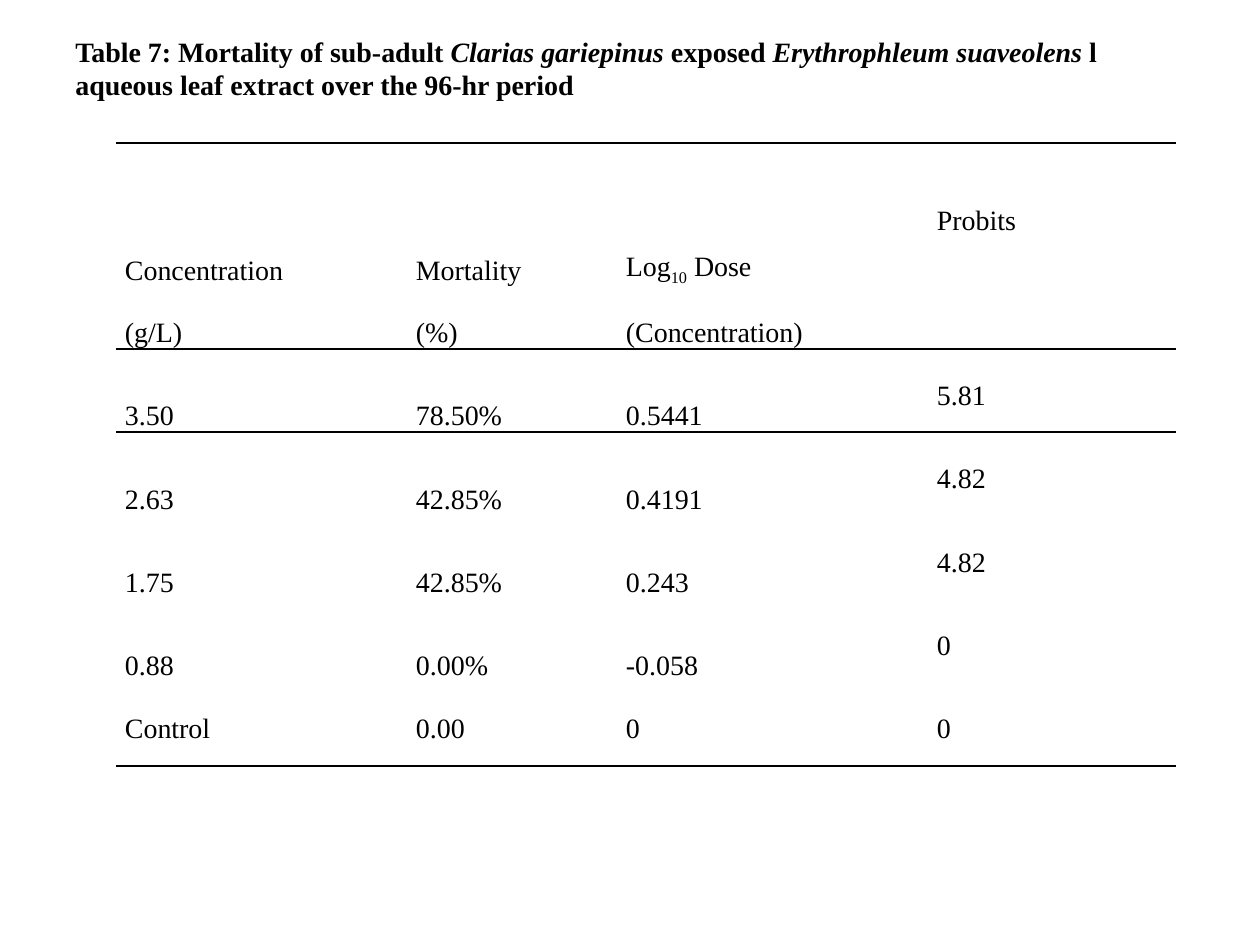
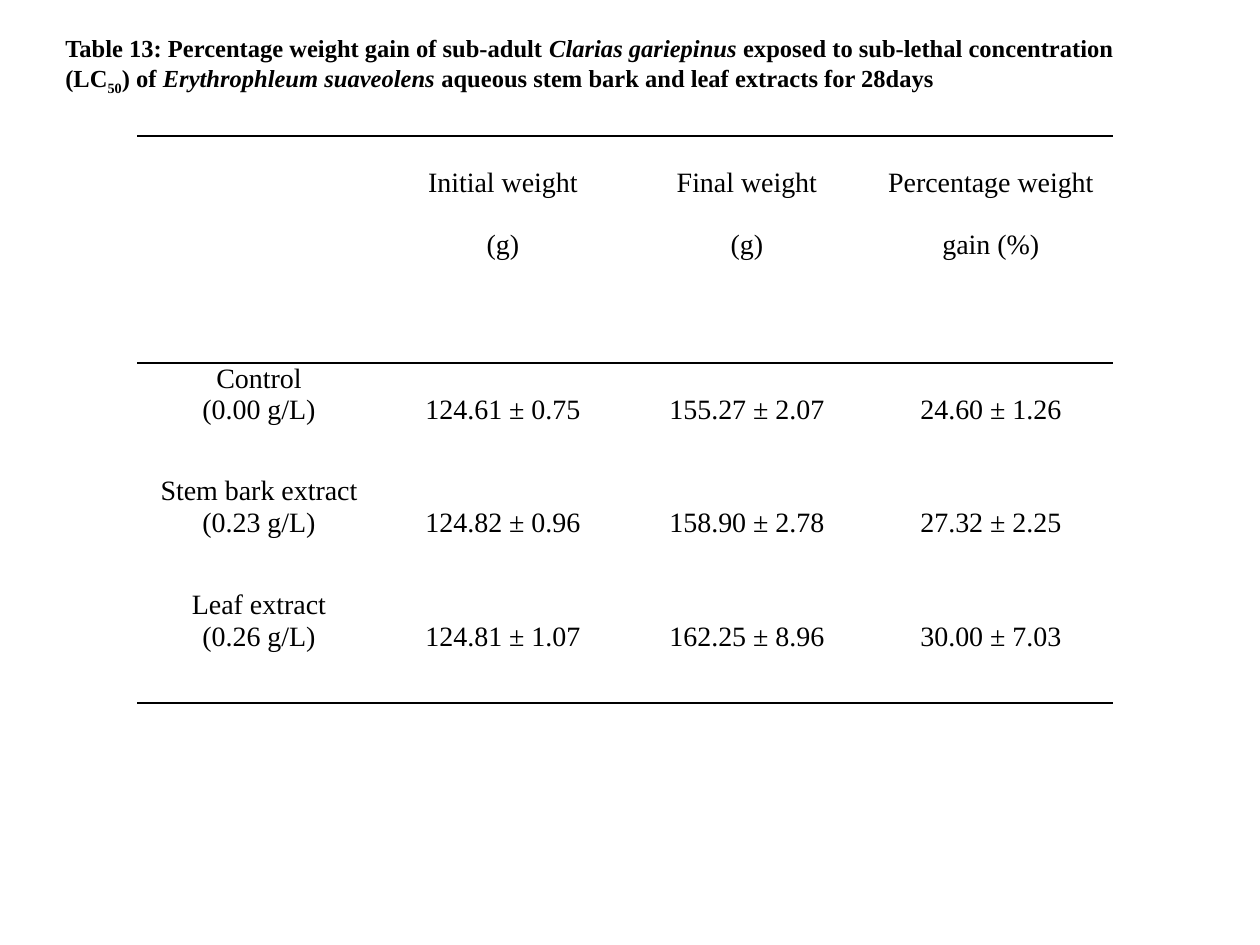
from lxml.etree import SubElement
from pptx import Presentation
from pptx.dml.color import RGBColor
from pptx.enum.text import MSO_ANCHOR as ANCHOR, PP_ALIGN as ALIGN
from pptx.oxml.ns import qn
from pptx.util import Pt

PX = 914400 / 126
FONT, INK = "Times New Roman", "000000"
BODY_SIZE = 16
CELL_INSET = 9
RULE_WIDTH = 1

# A paragraph is a string or a list of runs; a run is a string or (text, style).
ITALIC = "italic"
SUBSCRIPT = "subscript"

MORTALITY = {
    "title": ["Table 7: Mortality of sub-adult ", ("Clarias gariepinus", ITALIC),
              " exposed ", ("Erythrophleum suaveolens", ITALIC),
              " l aqueous leaf extract over the 96-hr period"],
    "title_box": (63, 28, 1144, 90),
    "title_size": 16,
    "origin": (116, 143),
    "columns": (291, 210, 311, 248),
    "heights": (206, 83, 84, 83, 83, 84),
    "rules": {0, 1, 2, 6},
    "align": ALIGN.JUSTIFY,
    "rows": [
        [["Concentration", "(g/L)"], ["Mortality", "(%)"],
         [["Log", ("10", SUBSCRIPT), " Dose"], "(Concentration)"], ["Probits"]],
        [["3.50"], ["78.50%"], ["0.5441"], ["5.81"]],
        [["2.63"], ["42.85%"], ["0.4191"], ["4.82"]],
        [["1.75"], ["42.85%"], ["0.243"], ["4.82"]],
        [["0.88"], ["0.00%"], ["-0.058"], ["0"]],
        [["Control"], ["0.00"], ["0"], ["0"]],
    ],
}

WEIGHT_GAIN = {
    "title": ["Table 13: Percentage weight gain of sub-adult ",
              ("Clarias gariepinus", ITALIC),
              " exposed to sub-lethal concentration (LC", ("50", SUBSCRIPT), ") of ",
              ("Erythrophleum suaveolens", ITALIC),
              " aqueous stem bark and leaf extracts for 28days"],
    "title_box": (53, 27, 1110, 72),
    "title_size": 14,
    "origin": (137, 136),
    "columns": (244,) * 4,
    "heights": (227, 113, 114, 113),
    "rules": {0, 1, 4},
    "align": ALIGN.CENTER,
    "rows": [
        [[], ["Initial weight", "(g)"], ["Final weight", "(g)"],
         ["Percentage weight gain (%)"]],
        [["Control", "(0.00 g/L)"], ["124.61 ± 0.75"], ["155.27 ± 2.07"],
         ["24.60 ± 1.26"]],
        [["Stem bark extract", "(0.23 g/L)"], ["124.82 ± 0.96"], ["158.90 ± 2.78"],
         ["27.32 ± 2.25"]],
        [["Leaf extract", "(0.26 g/L)"], ["124.81 ± 1.07"], ["162.25 ± 8.96"],
         ["30.00 ± 7.03"]],
    ],
}


def px(length):
    return round(length * PX)


def color(value):
    return RGBColor.from_string(value)


def add_runs(paragraph, runs, size, bold=False):
    for part in [runs] if isinstance(runs, str) else runs:
        text, style = (part, None) if isinstance(part, str) else part
        run = paragraph.add_run()
        run.text = text
        font = run.font
        font.name, font.size, font.bold = FONT, Pt(size), bold
        font.italic = style == ITALIC
        font.color.rgb = color(INK)
        if style == SUBSCRIPT:
            run._r.get_or_add_rPr().set("baseline", "-25000")


def add_title(slide, content):
    box = slide.shapes.add_textbox(*map(px, content["title_box"]))
    box.text_frame.word_wrap = True
    add_runs(box.text_frame.paragraphs[0], content["title"],
             content["title_size"], bold=True)


def set_borders(cell, top, bottom):
    """Rule the chosen horizontal sides and clear the others."""
    properties = cell._tc.get_or_add_tcPr()
    for side, ruled in (("L", False), ("R", False), ("T", top), ("B", bottom)):
        line = SubElement(properties, qn(f"a:ln{side}"), w=str(Pt(RULE_WIDTH)))
        if ruled:
            fill = SubElement(line, qn("a:solidFill"))
            SubElement(fill, qn("a:srgbClr"), val=INK)
        else:
            SubElement(line, qn("a:noFill"))


def fill_cell(cell, lines, align, spacing):
    cell.margin_left = cell.margin_right = px(CELL_INSET)
    cell.margin_top = cell.margin_bottom = 0
    frame = cell.text_frame
    for index, runs in enumerate(lines):
        paragraph = frame.add_paragraph() if index else frame.paragraphs[0]
        paragraph.alignment = align
        paragraph.line_spacing = spacing
        add_runs(paragraph, runs, BODY_SIZE)


def add_data_table(slide, content):
    rows, columns, heights = content["rows"], content["columns"], content["heights"]
    table = slide.shapes.add_table(
        len(rows), len(columns), *map(px, content["origin"]),
        px(sum(columns)), px(sum(heights))).table
    table.first_row = table.horz_banding = False
    for column, width in zip(table.columns, columns):
        column.width = px(width)
    for row, height in zip(table.rows, heights):
        row.height = px(height)
    for r, row in enumerate(rows):
        for c, lines in enumerate(row):
            cell = table.cell(r, c)
            treatment = content is WEIGHT_GAIN and c == 0
            fill_cell(cell, lines, content["align"], 1.0 if treatment else 2.0)
            set_borders(cell, r in content["rules"], r + 1 in content["rules"])
            cell.fill.background()
    return table


def main():
    deck = Presentation()
    deck.slide_width, deck.slide_height = px(1260), px(945)
    tables = []
    for content in (MORTALITY, WEIGHT_GAIN):
        slide = deck.slides.add_slide(deck.slide_layouts[6])
        tables.append(add_data_table(slide, content))
        add_title(slide, content)

    # Doses sit at the foot of their rows; probits and the control row at the top.
    mortality = tables[0]
    for r in range(len(MORTALITY["rows"]) - 1):
        for c in range(len(MORTALITY["columns"]) - 1):
            mortality.cell(r, c).vertical_anchor = ANCHOR.BOTTOM
    mortality.cell(0, 3).margin_top = px(31)
    deck.save("out.pptx")


if __name__ == "__main__":
    main()
